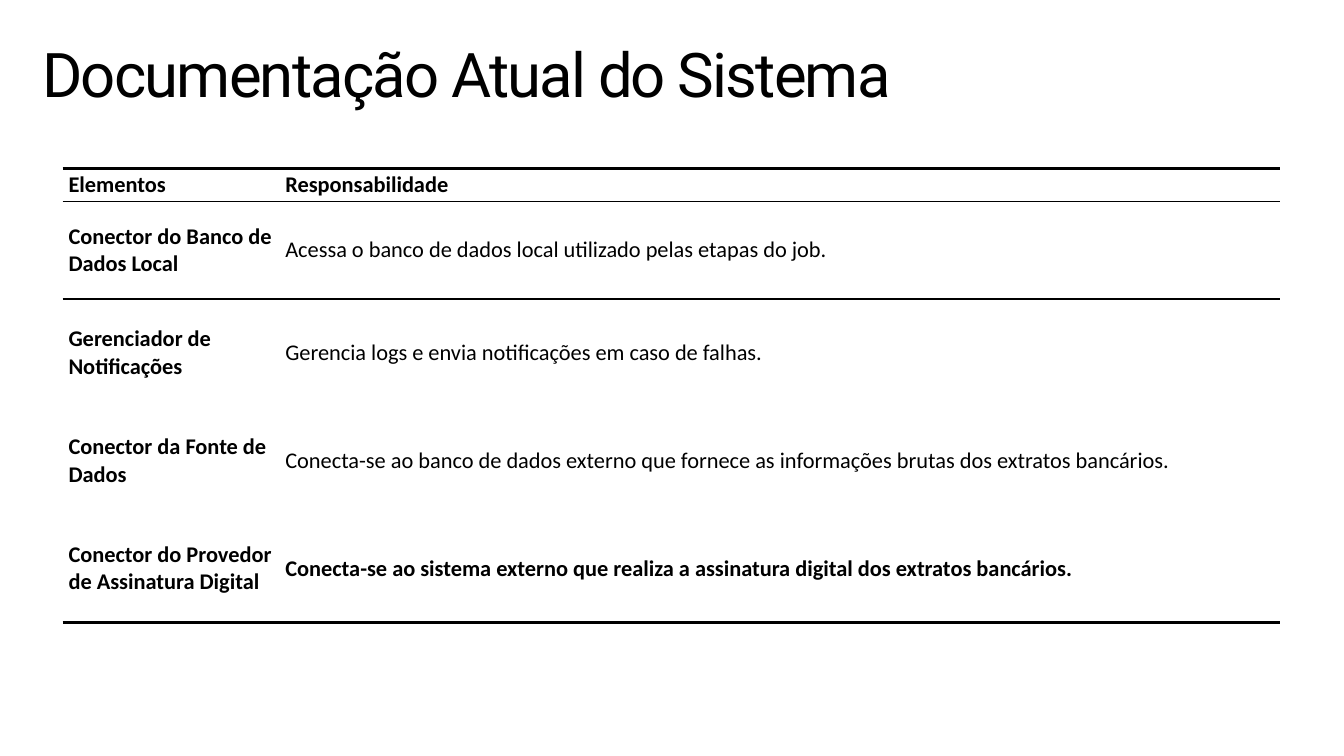
from lxml import etree
from pptx import Presentation
from pptx.dml.color import RGBColor
from pptx.enum import text
from pptx.oxml import ns
from pptx.util import Inches, Pt

BLACK, WHITE = "000000", "FFFFFF"
HEADER = ("Elementos", "Responsabilidade")
ELEMENTS = [
    ("Conector do Banco de Dados Local",
     "Acessa o banco de dados local utilizado pelas etapas do job."),
    ("Gerenciador de Notificações",
     "Gerencia logs e envia notificações em caso de falhas."),
    ("Conector da Fonte de Dados",
     "Conecta-se ao banco de dados externo que fornece as informações brutas dos extratos bancários."),
    ("Conector do Provedor de Assinatura Digital",
     "Conecta-se ao sistema externo que realiza a assinatura digital dos extratos bancários."),
]
COLUMN_SHARES = (0.178, 0.822)
ROW_HEIGHTS = (0.32, 0.97, 1.07, 1.07, 1.07)
RULES = (2, 1, 1, 0, 0, 2)  # line widths above each row and below the last


def color(value):
    return RGBColor.from_string(value)


def set_attributes(target, values):
    for name, value in values.items():
        setattr(target, name, value)


def format_font(font, name, size, bold=False):
    set_attributes(font, {"name": name, "size": Pt(size), "bold": bold})
    font.color.rgb = color(BLACK)


def set_border(cell, side, width):
    properties = cell._tc.get_or_add_tcPr()
    line = etree.SubElement(properties, ns.qn(f"a:{side}"), w=str(Pt(width)))
    if width:
        fill = etree.SubElement(line, ns.qn("a:solidFill"))
        etree.SubElement(fill, ns.qn("a:srgbClr"), val=BLACK)
    else:
        etree.SubElement(line, ns.qn("a:noFill"))


def add_title(slide, left, top, width, height, words):
    box = slide.shapes.add_textbox(*map(Inches, (left, top, width, height)))
    frame = box.text_frame
    set_attributes(frame, {
        "word_wrap": True, "margin_left": 0, "margin_right": 0,
        "margin_top": Inches(0.03), "margin_bottom": 0,
        "auto_size": text.MSO_AUTO_SIZE.SHAPE_TO_FIT_TEXT,
    })
    run = frame.paragraphs[0].add_run()
    run.text = words
    format_font(run.font, "Roboto", 44)
    run._r.get_or_add_rPr().set("spc", "-130")


def fill_cell(cell, words, bold, rule_above, rule_below):
    set_attributes(cell, {
        "vertical_anchor": text.MSO_ANCHOR.MIDDLE,
        "margin_left": Inches(0.06), "margin_right": Inches(0.06),
        "margin_top": Inches(0.03), "margin_bottom": Inches(0.03),
    })
    borders = {"lnL": 0, "lnR": 0, "lnT": rule_above, "lnB": rule_below}
    for side, width in borders.items():
        set_border(cell, side, width)
    cell.fill.solid()
    cell.fill.fore_color.rgb = color(WHITE)
    run = cell.text_frame.paragraphs[0].add_run()
    run.text = words
    format_font(run.font, "Calibri", 16, bold)


def add_elements_table(slide, left, top, width):
    rows = [HEADER, *ELEMENTS]
    frame = slide.shapes.add_table(
        len(rows), len(HEADER),
        *map(Inches, (left, top, width, sum(ROW_HEIGHTS))))
    table = frame.table
    set_attributes(table, {"first_row": False, "horz_banding": False})
    for column, share in zip(table.columns, COLUMN_SHARES):
        column.width = Inches(width * share)
    for r, row in enumerate(rows):
        table.rows[r].height = Inches(ROW_HEIGHTS[r])
        for c, words in enumerate(row):
            # The first column, the header and the last row are bold
            bold = c == 0 or r in (0, len(rows) - 1)
            fill_cell(table.cell(r, c), words, bold, RULES[r], RULES[r + 1])


def main():
    presentation = Presentation()
    set_attributes(presentation, {
        "slide_width": Inches(13.33), "slide_height": Inches(7.5)})
    slide = presentation.slides.add_slide(presentation.slide_layouts[6])
    # Title
    add_title(slide, 0.42, 0.33, 9.33, 0.76, "Documentação Atual do Sistema")
    # Table of elements and their responsibilities
    add_elements_table(slide, 0.62, 1.67, 12.08)
    presentation.save("out.pptx")


if __name__ == "__main__":
    main()
